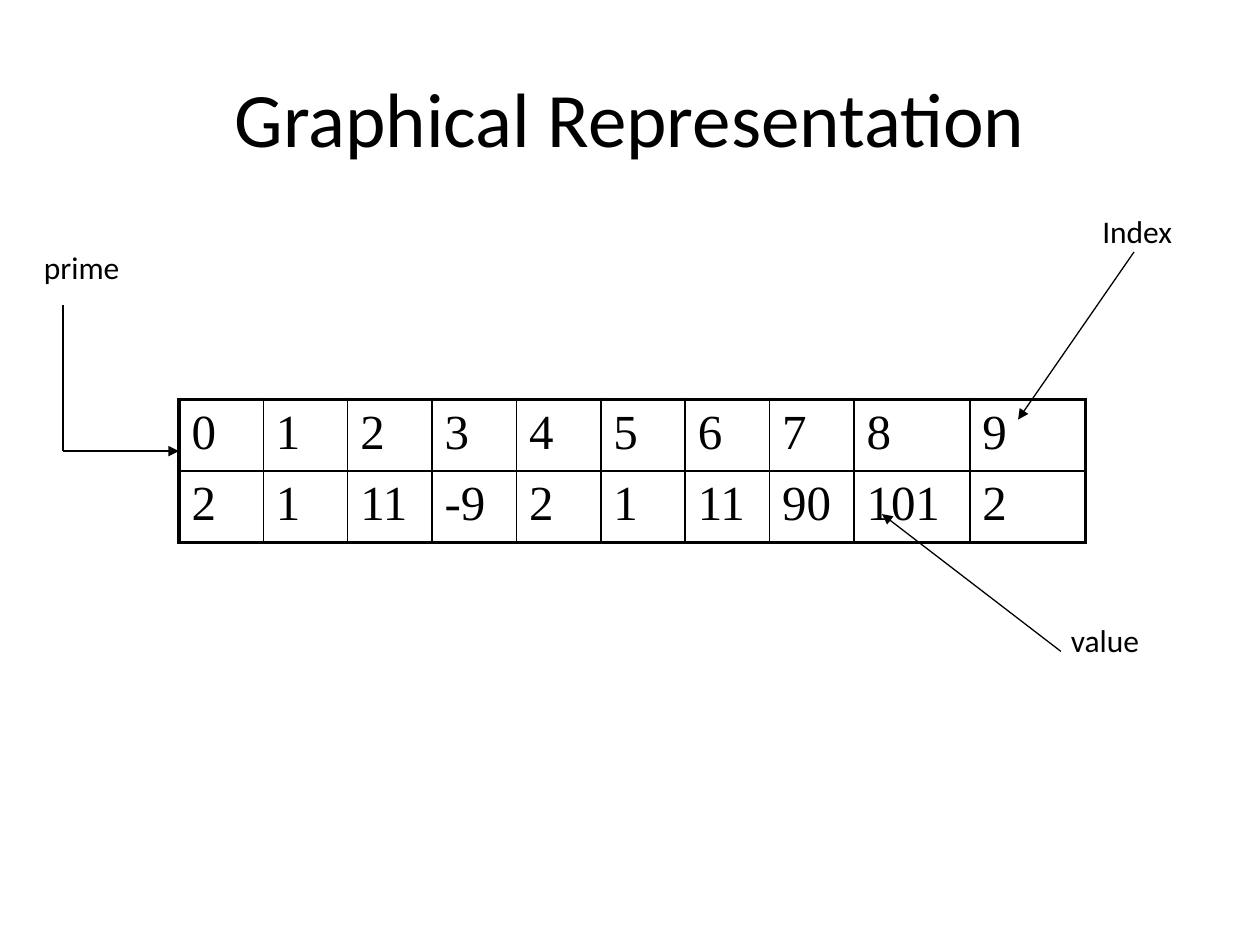
from dataclasses import dataclass

from pptx import Presentation, util as u
from pptx.dml.color import RGBColor
from pptx.enum import shapes, text
from pptx.oxml import parse_xml
from pptx.oxml.ns import nsdecls, qn

BLACK = "000000"
WIDTH, HEIGHT = 10, 7.5
THICK, THIN = 2.25, 1


@dataclass
class Label:
    wording: str
    left: float
    top: float
    width: float
    height: float = 0.5
    size: float = 18
    title: bool = False


@dataclass
class Line:
    start: tuple[float, float]
    end: tuple[float, float]
    arrow: bool = True


def colour(value: str) -> RGBColor:
    return RGBColor.from_string(value)


def style(paragraph, font_name: str, size: float) -> None:
    paragraph.font.name = font_name
    paragraph.font.size = u.Pt(size)
    paragraph.font.color.rgb = colour(BLACK)


def add_label(slide, label: Label) -> None:
    box = slide.shapes.add_textbox(u.Inches(label.left), u.Inches(label.top),
                                   u.Inches(label.width), u.Inches(label.height))
    frame = box.text_frame
    frame.text = label.wording
    frame.word_wrap = label.title
    paragraph = frame.paragraphs[0]
    if label.title:
        frame.vertical_anchor = text.MSO_ANCHOR.MIDDLE
        paragraph.alignment = text.PP_ALIGN.CENTER
    else:
        frame.auto_size = text.MSO_AUTO_SIZE.SHAPE_TO_FIT_TEXT
    style(paragraph, "Calibri", label.size)


def add_line(slide, line: Line) -> None:
    points = [u.Inches(length) for length in (*line.start, *line.end)]
    connector = slide.shapes.add_connector(shapes.MSO_CONNECTOR.STRAIGHT, *points)
    connector.line.color.rgb = colour(BLACK)
    connector.line.width = u.Pt(0.75)
    if line.arrow:
        connector.line._get_or_add_ln().append(
            parse_xml(f'<a:tailEnd {nsdecls("a")} type="triangle"/>'))
    connector._element.spPr.append(parse_xml(f'<a:effectLst {nsdecls("a")}/>'))


def set_border(cell, side: str, points: float) -> None:
    cell._tc.get_or_add_tcPr().append(parse_xml(
        f'<a:ln{side} {nsdecls("a")} w="{u.Pt(points)}"><a:solidFill>'
        f'<a:srgbClr val="{BLACK}"/></a:solidFill></a:ln{side}>'))


def add_array(slide, rows: list[list[str]], widths: list[float],
              left: float, top: float, row_height: float) -> None:
    last_row, last_column = len(rows) - 1, len(widths) - 1
    table = slide.shapes.add_table(
        len(rows), len(widths), u.Inches(left), u.Inches(top),
        u.Inches(sum(widths)), u.Inches(row_height * len(rows))).table
    table.first_row = table.horz_banding = False
    for column, width in zip(table.columns, widths):
        column.width = u.Inches(width)
    for r, values in enumerate(rows):
        for c, value in enumerate(values):
            cell = table.cell(r, c)
            cell.text = value
            paragraph = cell.text_frame.paragraphs[0]
            style(paragraph, "Times New Roman", 28)
            spacing = paragraph._p.get_or_add_pPr().get_or_add_spcBef()
            spacing.append(parse_xml(f'<a:spcPct {nsdecls("a")} val="20000"/>'))
            # The outer frame is thick, the inner grid thin
            outer = {"L": c == 0, "R": c == last_column,
                     "T": r == 0, "B": r == last_row}
            for side, is_outer in outer.items():
                set_border(cell, side, THICK if is_outer else THIN)
            cell.fill.background()


presentation = Presentation()
presentation.slide_width = u.Inches(WIDTH)
presentation.slide_height = u.Inches(HEIGHT)
slide = presentation.slides.add_slide(presentation.slide_layouts[6])

# Title
add_label(slide, Label("Graphical Representation", 0.05 * WIDTH, 0.04 * HEIGHT,
                       0.9 * WIDTH, 1.25, 44, True))

# Array: indexes above values
ARRAY_LEFT, ARRAY_TOP = 1.42, 3.17
indexes = [str(index) for index in range(10)]
values = ["2", "1", "11", "-9", "2", "1", "11", "90", "101", "2"]
add_array(slide, [indexes, values], [0.67] * 8 + [0.92] * 2,
          ARRAY_LEFT, ARRAY_TOP, 0.53)

# Labels of the array's parts
for label in (Label("prime", 0.25, 1.92, 0.98),
              Label("Index", 8.65, 1.63, 0.96),
              Label("value", 8.4, 4.88, 0.92)):
    add_label(slide, label)

# Pointers from the labels
corner = (0.5, 3.58)
for line in (Line((0.5, 2.42), corner, arrow=False),
             Line(corner, (ARRAY_LEFT, 3.58)),
             Line((9, 2), (8.08, 3.33)),
             Line((8.42, 5.17), (7, 4.08))):
    add_line(slide, line)

presentation.save("out.pptx")
